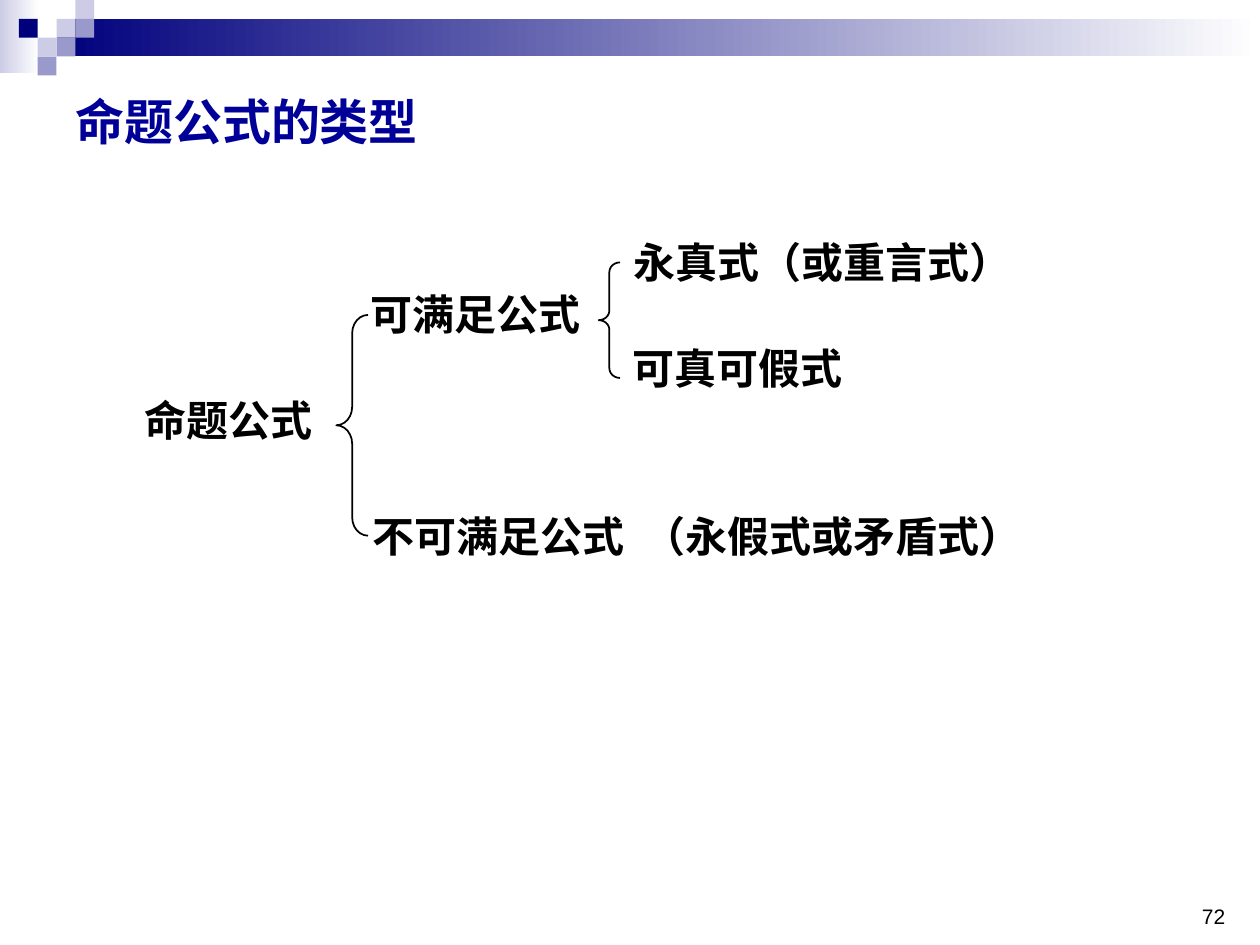
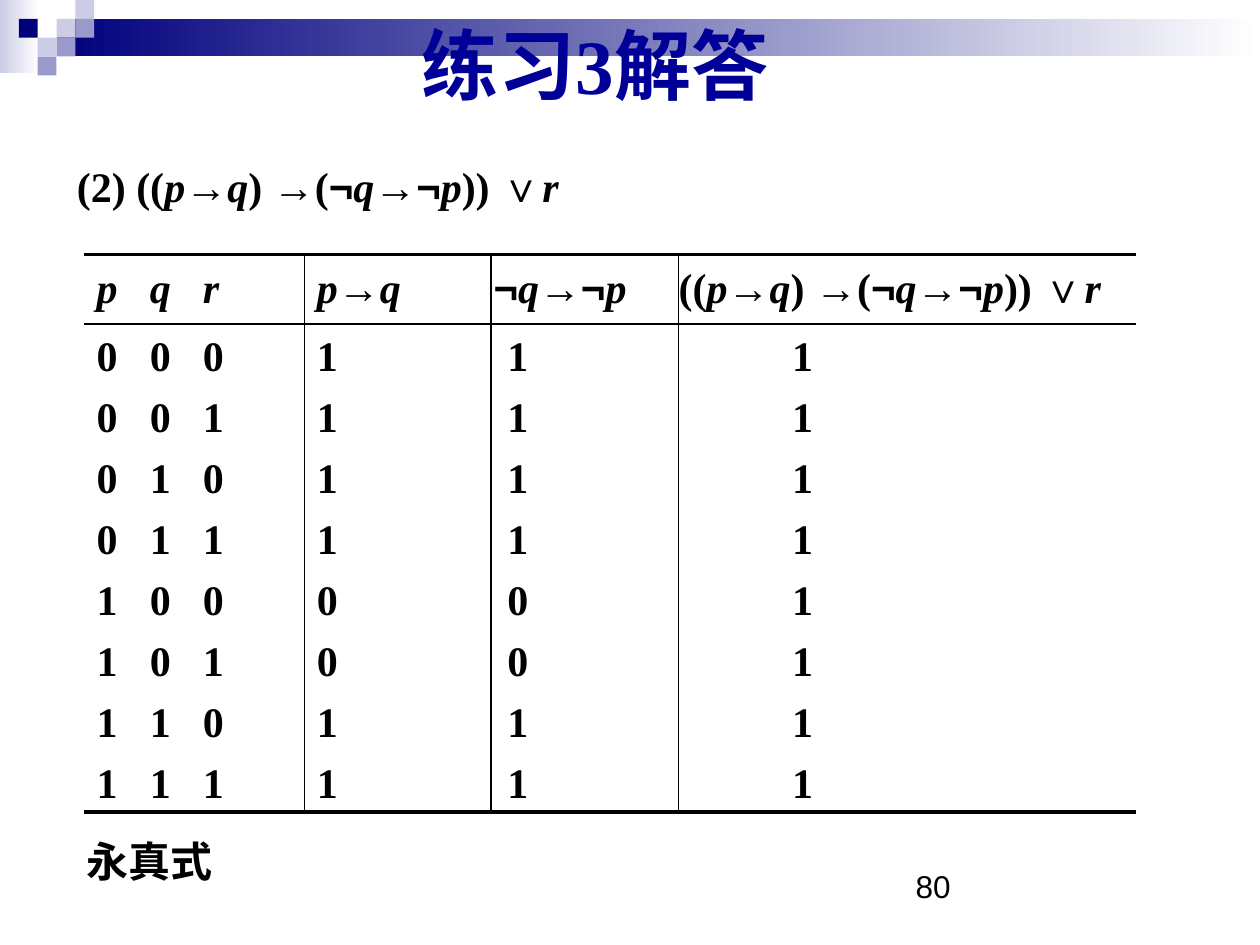
from itertools import groupby, product

from lxml.etree import SubElement
from pptx import Presentation
from pptx.dml.color import RGBColor
from pptx.enum.shapes import MSO_SHAPE as Shape
from pptx.enum.text import MSO_ANCHOR as Anchor, PP_ALIGN as Align
from pptx.oxml.ns import qn
from pptx.util import Cm, Pt

NAVY = RGBColor(0x00, 0x00, 0x7D)
LAVENDER = RGBColor(0xCC, 0xCC, 0xE6)
PERIWINKLE = RGBColor(0x99, 0x99, 0xCC)
TITLE_BLUE = RGBColor(0x00, 0x00, 0x99)
WHITE = RGBColor(0xFF, 0xFF, 0xFF)
BLACK = RGBColor(0x00, 0x00, 0x00)

SERIF, SANS, CHINESE = "Times New Roman", "Arial", "Noto Sans CJK SC"
VARIABLES, OPERATORS = "pqr", "→¬∨"


def write(paragraph, text, size=24, color=BLACK, font=SERIF, bold=True):
    """Write text with italic variables and sans-serif logic operators."""
    paragraph.font.size = Pt(size)
    paragraph.font.bold = bold
    paragraph.font.color.rgb = color
    paragraph.font.name = font
    defaults = paragraph._p.pPr.find(qn("a:defRPr"))
    SubElement(defaults, qn("a:ea"), typeface=CHINESE)
    for kind, letters in groupby(text, lambda c: (c in VARIABLES, c in OPERATORS)):
        run = paragraph.add_run()
        run.text = "".join(letters)
        is_variable, is_operator = kind
        if is_variable:
            run.font.italic = True
        if is_operator:
            run.font.name = SANS


def add_text(slide, left, top, width, height, text, align=Align.LEFT,
             anchor=Anchor.TOP, tab=None, **style):
    box = slide.shapes.add_textbox(Cm(left), Cm(top), Cm(width), Cm(height))
    frame = box.text_frame
    frame.word_wrap = True
    frame.vertical_anchor = anchor
    paragraph = frame.paragraphs[0]
    paragraph.alignment = align
    if tab:
        tabs = SubElement(paragraph._p.get_or_add_pPr(), qn("a:tabLst"))
        SubElement(tabs, qn("a:tab"), pos=str(Cm(tab)), algn="l")
    write(paragraph, text, **style)


presentation = Presentation()
presentation.slide_width, presentation.slide_height = Cm(25.4), Cm(19.05)
blank = presentation.slide_layouts[6]
types_slide, answer_slide = [presentation.slides.add_slide(blank) for _ in range(2)]

# Shared header: two gradient bands and squares on a small grid
UNIT = 0.38
BANDS = [(0, 0, 0.79, 1.47, LAVENDER), (3 * UNIT, UNIT, 24.26, 2 * UNIT, NAVY)]
SQUARES = [(3, 1, LAVENDER), (4, 0, LAVENDER), (4, 1, PERIWINKLE), (2, 2, LAVENDER),
           (1, 1, NAVY), (3, 2, PERIWINKLE), (2, 3, PERIWINKLE)]
for slide in (types_slide, answer_slide):
    for left, top, width, height, color in BANDS:
        band = slide.shapes.add_shape(Shape.RECTANGLE, Cm(left), Cm(top), Cm(width), Cm(height))
        band.shadow.inherit = False
        band.line.fill.background()
        band.fill.gradient()
        band.fill.gradient_angle = 0
        for stop, stop_color in zip(band.fill.gradient_stops, (color, WHITE)):
            stop.color.rgb = stop_color
    for column, row, color in SQUARES:
        square = slide.shapes.add_shape(Shape.RECTANGLE, Cm(column * UNIT), Cm(row * UNIT),
                                        Cm(UNIT), Cm(UNIT))
        square.shadow.inherit = False
        square.line.fill.background()
        square.fill.solid()
        square.fill.fore_color.rgb = color

# Slide 1: tree of formula types
add_text(types_slide, 1.27, 1.27, 22.86, 2.34, "命题公式的类型", anchor=Anchor.MIDDLE,
         size=28, color=TITLE_BLUE, font=CHINESE)
add_text(types_slide, 23.93, 18.21, 1.07, 0.64, "72", align=Align.CENTER,
         anchor=Anchor.BOTTOM, size=12, font=SANS, bold=False)

for left, top, width, label in [
    (2.67, 7.82, 4.2, "命题公式"),
    (7.22, 5.7, 5, "可满足公式"),
    (12.52, 4.65, 8.4, "永真式（或重言式）"),
    (12.5, 6.78, 5, "可真可假式"),
]:
    add_text(types_slide, left, top, width, 1.27, label)
add_text(types_slide, 7.26, 10.16, 14, 1.27, "不可满足公式\t（永假式或矛盾式）", tab=5.46)

for left, top, width, height in [(6.78, 6.35, 0.64, 4.45), (12.07, 5.29, 0.43, 2.33)]:
    brace = types_slide.shapes.add_shape(Shape.LEFT_BRACE, Cm(left), Cm(top),
                                         Cm(width), Cm(height))
    brace.adjustments[0] = height / 12 / width
    brace.shadow.inherit = False
    brace.fill.background()
    brace.line.color.rgb = BLACK
    brace.line.width = Pt(1)

# Slide 2: title, formula, conclusion and number
FORMULA = "((p→q) →(¬q→¬p)) ∨r"
add_text(answer_slide, 5.49, 0.71, 13, 1.17, "练习3解答", align=Align.CENTER,
         anchor=Anchor.MIDDLE, size=44, color=TITLE_BLUE)
add_text(answer_slide, 1.3, 3.12, 12.8, 1.27, "(2) " + FORMULA)
add_text(answer_slide, 1.5, 16.71, 3.3, 1.27, "永真式", anchor=Anchor.MIDDLE)
add_text(answer_slide, 18.21, 17.35, 5.92, 1.32, "80", size=18, font=SANS, bold=False)

# Truth table
rows = [["p", "q", "r", "p→q", "¬q→¬p", FORMULA]]
for p, q, r in product((0, 1), repeat=3):
    implication = int(not p or q)
    contrapositive = int(q or not p)
    whole = int(implication <= contrapositive or r)
    rows.append([p, q, r, implication, contrapositive, whole])

COLUMN_WIDTHS = [1.07, 1.07, 2.3, 3.76, 3.78, 9.22]
HEADER_INDENTS = [0.25, 0.25, 0.25, 0.25, 0.05, 0]
VALUE_INDENTS = [0.25, 0.25, 0.25, 0.25, 0.33, 2.29]
HEADER_HEIGHT, ROW_HEIGHT = 1.4, 1.23
RULED_COLUMNS = (2, 3, 4)
THIN, THICK = Pt(1), Pt(2.25)

table = answer_slide.shapes.add_table(
    len(rows), len(COLUMN_WIDTHS), Cm(1.7), Cm(5.13), Cm(sum(COLUMN_WIDTHS)),
    Cm(HEADER_HEIGHT + 8 * ROW_HEIGHT)).table
table.first_row = table.horz_banding = False
# Table style without fills or grid
table._tbl.tblPr.find(qn("a:tableStyleId")).text = "{2D5ABB26-0587-4C30-8999-92F81FD0307C}"
for column, width in zip(table.columns, COLUMN_WIDTHS):
    column.width = Cm(width)

for row_index, values in enumerate(rows):
    is_header = row_index == 0
    is_last = row_index == len(rows) - 1
    table.rows[row_index].height = Cm(HEADER_HEIGHT if is_header else ROW_HEIGHT)
    indents = HEADER_INDENTS if is_header else VALUE_INDENTS
    for column_index, value in enumerate(values):
        cell = table.cell(row_index, column_index)
        cell.vertical_anchor = Anchor.MIDDLE
        cell.margin_left = Cm(indents[column_index])
        cell.margin_right = cell.margin_bottom = 0
        cell.margin_top = Cm(0 if is_header else 0.13)
        write(cell.text_frame.paragraphs[0], str(value))

        edges = [("a:lnR", THIN, column_index in RULED_COLUMNS),
                 ("a:lnT", THICK, is_header),
                 ("a:lnB", THIN if is_header else THICK, is_header or is_last)]
        for tag, weight, shown in edges:
            if shown:
                edge = SubElement(cell._tc.get_or_add_tcPr(), qn(tag), w=str(weight))
                SubElement(SubElement(edge, qn("a:solidFill")), qn("a:srgbClr"), val=str(BLACK))
        cell.fill.background()

presentation.save("out.pptx")
